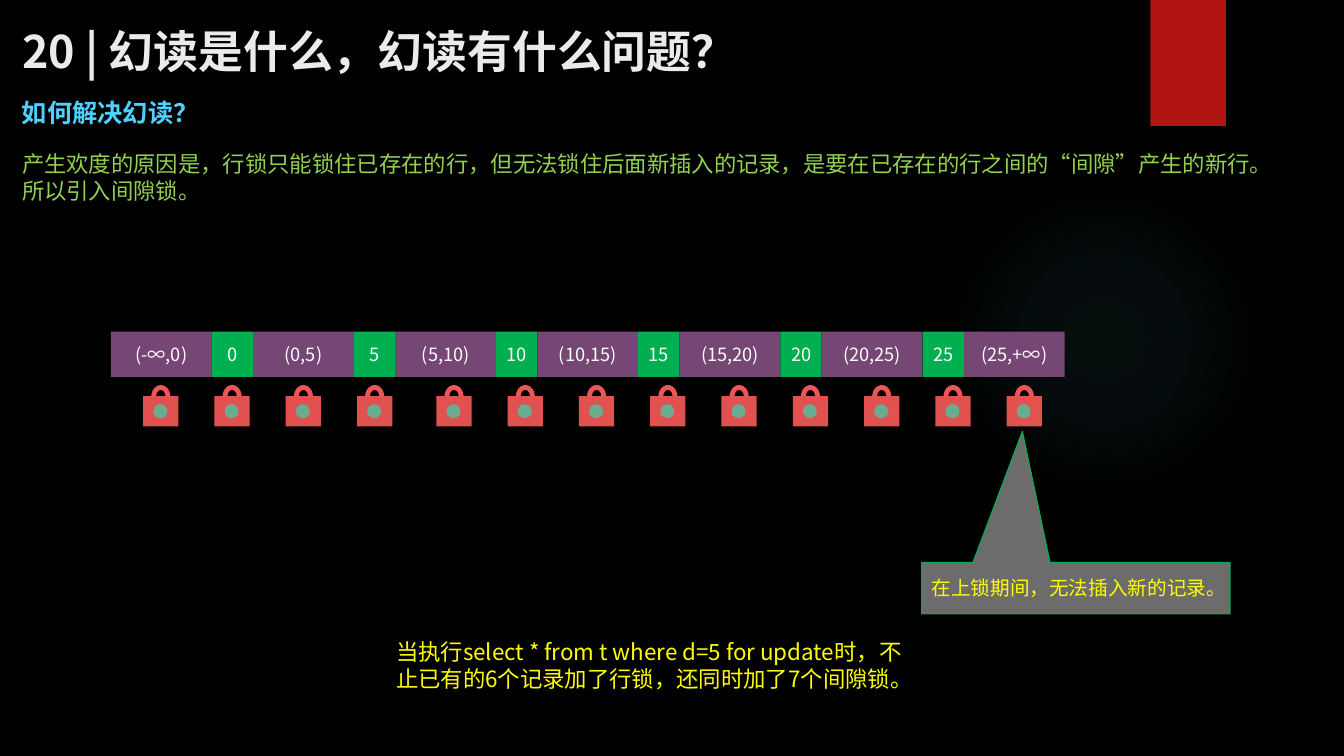
import pptx
import pptx.util
import pptx.dml.color
import pptx.enum.shapes
import pptx.enum.text
import pptx.oxml
import pptx.oxml.ns
from lxml import etree

Inches = pptx.util.Inches
RGBColor = pptx.dml.color.RGBColor
SHAPE = pptx.enum.shapes.MSO_SHAPE
ALIGN = pptx.enum.text.PP_ALIGN
ANCHOR = pptx.enum.text.MSO_ANCHOR
AUTO_SIZE = pptx.enum.text.MSO_AUTO_SIZE
qn = pptx.oxml.ns.qn

FONT = "Noto Sans CJK SC"
BLACK = RGBColor(0x00, 0x00, 0x00)
WHITE = RGBColor(0xFF, 0xFF, 0xFF)
OFF_WHITE = RGBColor(0xEB, 0xEB, 0xEB)
GREY = RGBColor(0xD9, 0xD9, 0xD9)
TEAL = RGBColor(0x50, 0xB9, 0xC1)
RED = RGBColor(0xB0, 0x15, 0x13)
SKY = RGBColor(0x4F, 0xD1, 0xFF)
LIME = RGBColor(0x92, 0xD0, 0x50)
PURPLE = RGBColor(0x76, 0x46, 0x74)
GREEN = RGBColor(0x00, 0xB0, 0x50)
YELLOW = RGBColor(0xFF, 0xFF, 0x00)
LOCK_RED = RGBColor(0xED, 0x56, 0x54)
KEYHOLE = RGBColor(0x6A, 0xAC, 0x90)

RECORDS = [0, 5, 10, 15, 20, 25]
GAP_WIDTH, RECORD_WIDTH, CELL_PITCH = 1.0, 0.41, 1.41
LOCK_COUNT, LOCK_PITCH = 13, 0.707


def write_text(shape, text, size, color, bold=False, align=ALIGN.LEFT,
               anchor=ANCHOR.TOP, wrap=True, auto_size=AUTO_SIZE.NONE):
    """Fill a shape with formatted text, one paragraph per line."""
    frame = shape.text_frame
    frame.text = text
    frame.word_wrap = wrap
    frame.auto_size = auto_size
    frame.vertical_anchor = anchor
    for paragraph in frame.paragraphs:
        paragraph.alignment = align
        for run in paragraph.runs:
            run.font.size = pptx.util.Pt(size)
            run.font.bold = bold
            run.font.color.rgb = color
            run.font.name = FONT
            etree.SubElement(run.font._element, qn("a:ea"), typeface=FONT)


def add_text(slide, box, text, **style):
    """Add a text box."""
    shape = slide.shapes.add_textbox(*map(Inches, box))
    write_text(shape, text, auto_size=AUTO_SIZE.SHAPE_TO_FIT_TEXT, **style)


def add_block(shapes, kind, box, color, opacity=100):
    """Add a filled shape without line or shadow."""
    shape = shapes.add_shape(kind, *map(Inches, box))
    shape.shadow.inherit = False
    shape.fill.solid()
    shape.fill.fore_color.rgb = color
    shape.line.fill.background()
    if opacity < 100:
        tint = shape._element.spPr.find(".//" + qn("a:srgbClr"))
        etree.SubElement(tint, qn("a:alpha"), val=str(opacity * 1000))
    return shape


def add_glow(slide, box):
    """Add the faint round glow."""
    glow = add_block(slide.shapes, SHAPE.OVAL, box, TEAL)
    stops = "".join(
        f'<a:gs pos="{position * 1000}"><a:srgbClr val="{TEAL}">'
        f'<a:alpha val="{opacity * 1000}"/></a:srgbClr></a:gs>'
        for position, opacity in [(0, 7), (36, 6), (69, 0), (100, 0)])
    gradient = pptx.oxml.parse_xml(
        f'<a:gradFill {pptx.oxml.ns.nsdecls("a")}><a:gsLst>{stops}</a:gsLst>'
        '<a:path path="circle"><a:fillToRect l="50000" t="50000" r="50000" b="50000"/>'
        '</a:path></a:gradFill>')
    properties = glow._element.spPr
    properties.replace(properties.find(qn("a:solidFill")), gradient)


def add_ribbon(slide, box):
    """Add the red ribbon with its soft shadow."""
    ribbon = add_block(slide.shapes, SHAPE.RECTANGLE, box, RED)
    effects = ribbon._element.spPr.find(qn("a:effectLst"))
    shadow = etree.SubElement(effects, qn("a:outerShdw"), blurRad="38100",
                              dist="25400", dir="5400000", rotWithShape="0")
    tint = etree.SubElement(shadow, qn("a:srgbClr"), val=str(BLACK))
    etree.SubElement(tint, qn("a:alpha"), val="45000")


def add_heading(slide, left, top):
    """Place the title, the subtitle and the explanation."""
    title = slide.shapes.title
    title.left, title.top, title.width, title.height = map(
        Inches, (left, top, 12.19, 0.66))
    write_text(title, "20 | 幻读是什么，幻读有什么问题？", size=32, color=OFF_WHITE,
               bold=True, anchor=ANCHOR.MIDDLE)
    add_text(slide, (left, top + 0.75, 1.97, 0.4), "如何解决幻读？",
             size=18, color=SKY, bold=True, wrap=False)
    add_text(slide, (left, top + 1.27, 13.21, 0.64),
             "产生欢度的原因是，行锁只能锁住已存在的行，但无法锁住后面新插入的记录，"
             "是要在已存在的行之间的“间隙”产生的新行。\n所以引入间隙锁。",
             size=16, color=LIME)


def add_index_row(slide, left, top, height):
    """Draw the gaps and the records between them."""
    bounds = ["-∞", *RECORDS, "+∞"]
    cells = []
    for index, (low, high) in enumerate(zip(bounds, bounds[1:])):
        start = left + index * CELL_PITCH
        cells.append((start, GAP_WIDTH, f"({low},{high})", PURPLE))
        if index < len(RECORDS):
            cells.append((start + GAP_WIDTH, RECORD_WIDTH, str(high), GREEN))
    for start, width, label, color in cells:
        cell = add_block(slide.shapes, SHAPE.RECTANGLE, (start, top, width, height), color)
        write_text(cell, label, size=13, color=WHITE, align=ALIGN.CENTER,
                   anchor=ANCHOR.MIDDLE)


def add_lock(slide, left, top):
    """Draw one grouped padlock."""
    shapes = slide.shapes.add_group_shape().shapes
    add_block(shapes, SHAPE.BLOCK_ARC, (left + 0.08, top, 0.19, 0.23), LOCK_RED)
    add_block(shapes, SHAPE.RECTANGLE, (left, top + 0.11, 0.35, 0.3), LOCK_RED, opacity=95)
    add_block(shapes, SHAPE.OVAL, (left + 0.1, top + 0.19, 0.14, 0.14), KEYHOLE)


def add_lock_row(slide, left, top):
    """Draw the padlocks, with a wider step after the fourth."""
    for index in range(LOCK_COUNT):
        extra = 0.08 if index >= 4 else 0
        add_lock(slide, left + index * LOCK_PITCH + extra, top)


def add_callout(slide, box):
    """Draw the callout that points at the last padlock."""
    callout = add_block(slide.shapes, SHAPE.RECTANGULAR_CALLOUT, box, GREY, opacity=50)
    callout.adjustments[0] = -0.173
    callout.adjustments[1] = -3.053
    callout.line.color.rgb = GREEN
    callout.line.width = pptx.util.Pt(0.75)
    write_text(callout, "在上锁期间，无法插入新的记录。", size=14, color=YELLOW,
               anchor=ANCHOR.MIDDLE)


def main():
    """Build and save the slide."""
    presentation = pptx.Presentation()
    presentation.slide_width = Inches(13.33)
    presentation.slide_height = Inches(7.5)
    slide = presentation.slides.add_slide(presentation.slide_layouts[5])
    slide.background.fill.solid()
    slide.background.fill.fore_color.rgb = BLACK
    add_glow(slide, (9.41, 1.83, 3.08, 3.08))
    add_ribbon(slide, (11.41, 0, 0.75, 1.25))
    add_heading(slide, 0.12, 0.17)
    add_index_row(slide, 1.1, 3.29, 0.45)
    add_text(slide, (3.83, 6.28, 5.4, 0.64),
             "当执行select * from t where d=5 for update时，"
             "不止已有的6个记录加了行锁，还同时加了7个间隙锁。",
             size=16, color=YELLOW)
    add_lock_row(slide, 1.42, 3.82)
    add_callout(slide, (9.14, 5.58, 3.06, 0.51))
    presentation.save("out.pptx")


if __name__ == "__main__":
    main()
